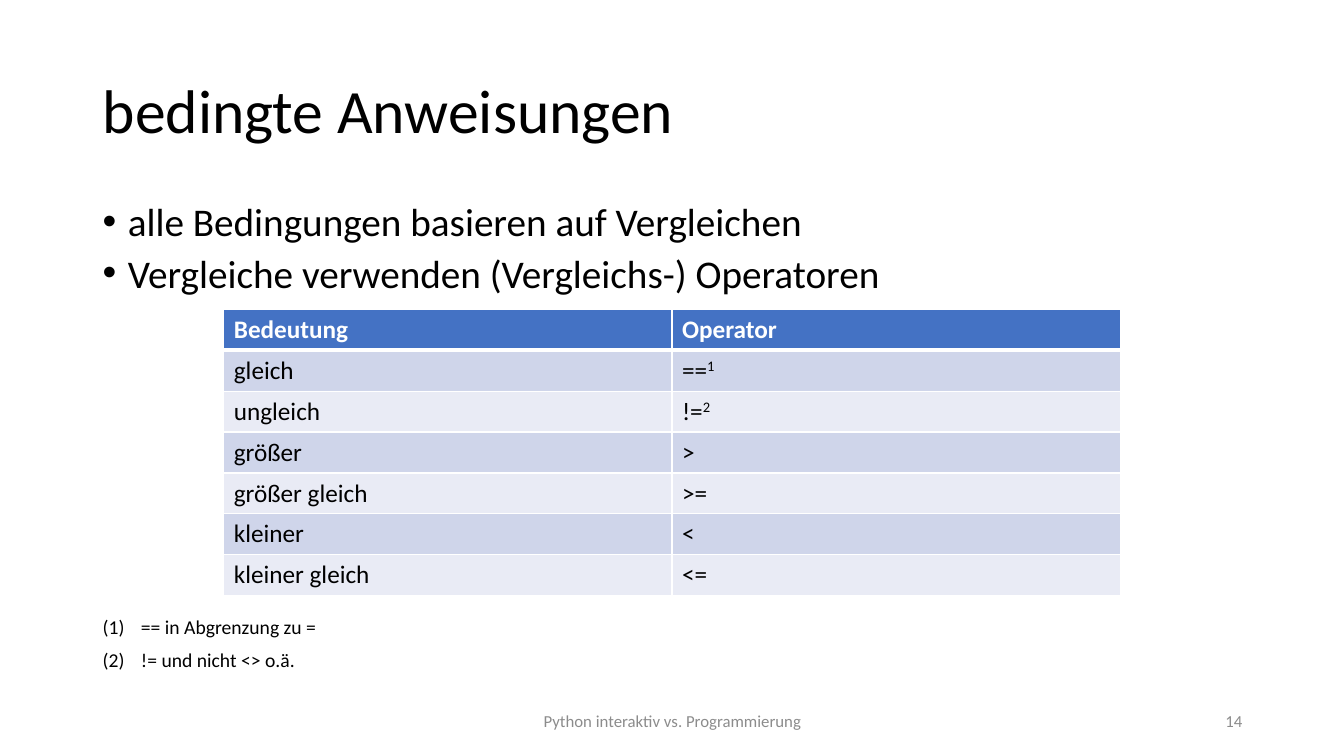
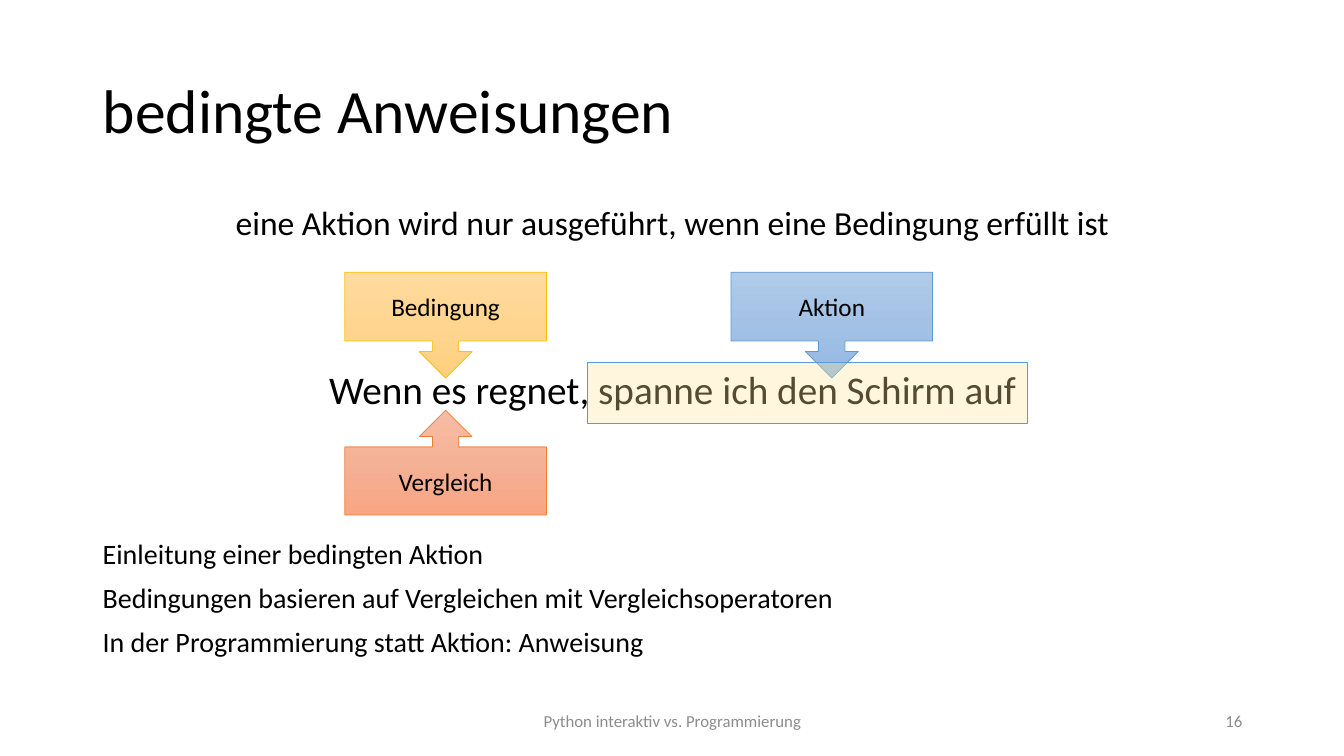
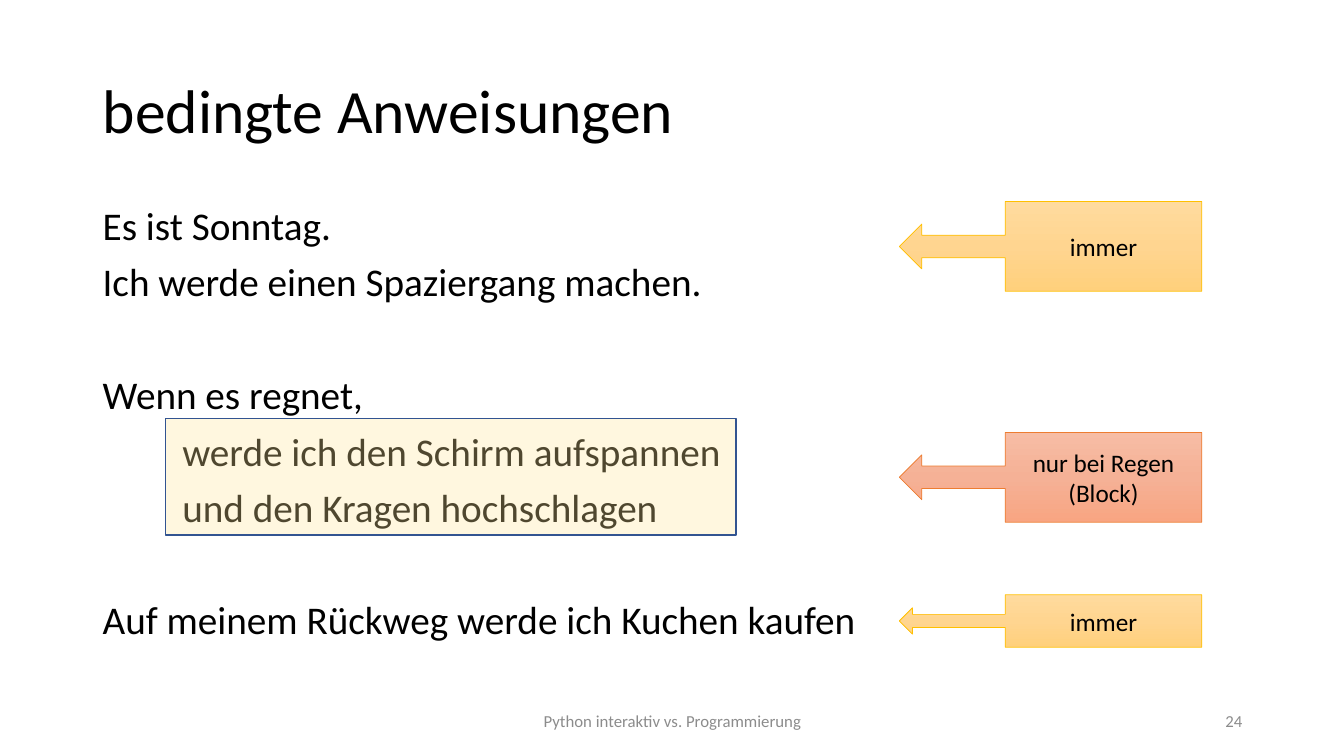
from copy import deepcopy

from lxml import etree
from pptx import Presentation
from pptx.dml.color import RGBColor
from pptx.enum.shapes import MSO_SHAPE
from pptx.enum.text import MSO_ANCHOR, MSO_AUTO_SIZE, PP_ALIGN
from pptx.oxml.ns import qn
from pptx.util import Inches, Pt

LEFT, CENTER, RIGHT = PP_ALIGN.LEFT, PP_ALIGN.CENTER, PP_ALIGN.RIGHT
TOP, MIDDLE = MSO_ANCHOR.TOP, MSO_ANCHOR.MIDDLE
RECT = MSO_SHAPE.RECTANGLE
DOWN = MSO_SHAPE.DOWN_ARROW_CALLOUT
UP = MSO_SHAPE.UP_ARROW_CALLOUT
BACK = MSO_SHAPE.LEFT_ARROW_CALLOUT

FONT = "Calibri"
TITLE = "bedingte Anweisungen"
FOOTER = "Python interaktiv vs. Programmierung"
MARGIN, WIDTH = 0.92, 11.5
COLORS = {
    "text": "000000", "white": "FFFFFF", "muted": "8C8C8C",
    "head": "4472C4", "odd": "CFD5EA", "even": "E9EBF5",
    "mark": "FFE699", "blue": "5B9BD5", "navy": "325491",
}
TONES = {
    "gold": ("FFC000", ("FFDB9E", "FFD590", "FFD07C")),
    "blue": ("5B9BD5", ("B1CBE9", "A3C1E5", "93B9E4")),
    "coral": ("ED7D31", ("F7BDA5", "F5B196", "F8A582")),
}
BULLET = {"indent": 0.25, "hang": 0.25, "bullet": ("buChar", {"char": "•"})}
NUMBER = {"indent": 0.38, "hang": 0.38,
          "bullet": ("buAutoNum", {"type": "arabicParenBoth"})}

# Cells are (text, superscript)
TABLE = [
    [("Bedeutung", ""), ("Operator", "")],
    [("gleich", ""), ("==", "1")],
    [("ungleich", ""), ("!=", "2")],
    [("größer", ""), (">", "")],
    [("größer gleich", ""), (">=", "")],
    [("kleiner", ""), ("<", "")],
    [("kleiner gleich", ""), ("<=", "")],
]

# Text blocks are (top, height, lines, format)
SLIDES = [
    {
        "number": 14,
        "texts": [
            (2, 1.05, ["alle Bedingungen basieren auf Vergleichen",
                       "Vergleiche verwenden (Vergleichs-) Operatoren"],
             {"size": 28, "spacing": 0.8, **BULLET}),
            (6.1, 0.65, ["== in Abgrenzung zu =", "!= und nicht <> o.ä."],
             {"size": 14, "spacing": 0.8, **NUMBER}),
        ],
        "table": (2.22, 3.07, 8.89, 2.84),
    },
    {
        "number": 16,
        "texts": [
            (2, 0.5, ["eine Aktion wird nur ausgeführt, wenn eine Bedingung erfüllt ist"],
             {"size": 24, "align": CENTER}),
            (3.63, 0.55, ["Wenn es regnet, spanne ich den Schirm auf"],
             {"size": 28, "align": CENTER}),
            (5.31, 1.4, ["Einleitung einer bedingten Aktion",
                         "Bedingungen basieren auf Vergleichen mit Vergleichsoperatoren",
                         "In der Programmierung statt Aktion: Anweisung"],
             {"size": 20}),
        ],
        "callouts": [
            (DOWN, (7.25, 2.7, 2, 1.05), "blue", ["Aktion"]),
            (DOWN, (3.42, 2.7, 2, 1.05), "gold", ["Bedingung"]),
            (UP, (3.42, 4.07, 2, 1.04), "coral", ["Vergleich"]),
        ],
        "mark": ((5.83, 3.59, 4.36, 0.61), 33, "blue", 0.5),
    },
    {
        "number": 24,
        "texts": [
            (2, 1.1, ["Es ist Sonntag.", "Ich werde einen Spaziergang machen."],
             {"size": 28}),
            (3.68, 0.55, ["Wenn es regnet,"], {"size": 28}),
            (4.24, 1.1, ["werde ich den Schirm aufspannen",
                         "und den Kragen hochschlagen"],
             {"size": 28, "indent": 0.79}),
            (5.91, 0.55, ["Auf meinem Rückweg werde ich Kuchen kaufen"], {"size": 28}),
        ],
        "callouts": [
            (BACK, (8.92, 2, 3, 0.89), "gold", ["immer"]),
            (BACK, (8.92, 4.29, 3, 0.89), "coral", ["nur bei Regen", "(Block)"]),
            (BACK, (8.92, 5.9, 3, 0.52), "gold", ["immer"]),
        ],
        "mark": ((1.64, 4.15, 5.66, 1.16), 31, "navy", 1),
    },
]


def rgb(value):
    return RGBColor.from_string(value)


def box(at):
    return [Inches(length) for length in at]


def style(run, size, color="text", bold=False):
    for name, value in {"name": FONT, "size": Pt(size), "bold": bold}.items():
        setattr(run.font, name, value)
    run.font.color.rgb = rgb(COLORS[color])


def write(shape, lines, size, color="text", align=LEFT, anchor=TOP,
          spacing=1, before=0, indent=0, hang=0, bullet=None):
    frame = shape.text_frame
    form = {"word_wrap": True, "auto_size": MSO_AUTO_SIZE.NONE, "vertical_anchor": anchor}
    for name, value in form.items():
        setattr(frame, name, value)
    for i, line in enumerate(lines):
        par = frame.add_paragraph() if i else frame.paragraphs[0]
        form = {"alignment": align, "line_spacing": spacing, "space_before": Pt(before)}
        for name, value in form.items():
            setattr(par, name, value)
        run = par.add_run()
        run.text = line
        style(run, size, color)
        props = par._p.get_or_add_pPr()
        props.set("marL", str(Inches(indent)))
        props.set("indent", str(-Inches(hang)))
        if bullet:
            tag, values = bullet
            etree.SubElement(props, qn("a:buFont"), typeface="Arial")
            etree.SubElement(props, qn("a:" + tag), **values)


def add_text(slide, at, lines, **form):
    write(slide.shapes.add_textbox(*box(at)), lines, **form)


def add_frame(slide, number):
    """Fill the title and add the footer and page number."""
    title = slide.shapes.title
    title.left, title.top, title.width, title.height = box((MARGIN, 0.4, WIDTH, 1.45))
    write(title, [TITLE], 44, anchor=MIDDLE, spacing=0.9)
    foot = {"size": 12, "color": "muted", "anchor": MIDDLE}
    add_text(slide, (4.42, 6.95, 4.5, 0.4), [FOOTER], align=CENTER, **foot)
    add_text(slide, (9.42, 6.95, 3, 0.4), [str(number)], align=RIGHT, **foot)


def add_shape(slide, kind, at, line, weight):
    shape = slide.shapes.add_shape(kind, *box(at))
    shape.shadow.inherit = False
    shape.line.color.rgb = rgb(line)
    shape.line.width = Pt(weight)
    return shape


def add_callout(slide, kind, at, tone, lines):
    line, shades = TONES[tone]
    shape = add_shape(slide, kind, at, line, 0.5)
    shape.fill.gradient()
    shape.fill.gradient_angle = 270
    stops = shape._element.spPr.find(qn("a:gradFill")).find(qn("a:gsLst"))
    stops.insert(1, deepcopy(stops[0]))
    for i, (stop, shade) in enumerate(zip(shape.fill.gradient_stops, shades)):
        stop.position = i / 2
        stop.color.rgb = rgb(shade)
    write(shape, lines, 18, align=CENTER, anchor=MIDDLE)


def add_mark(slide, at, alpha, line, weight):
    """Add a see-through highlight; alpha is in percent."""
    shape = add_shape(slide, RECT, at, COLORS[line], weight)
    shape.fill.solid()
    shape.fill.fore_color.rgb = rgb(COLORS["mark"])
    color = shape._element.spPr.find(qn("a:solidFill"))[0]
    etree.SubElement(color, qn("a:alpha"), val=str(alpha * 1000))


def add_border(cell, side, weight):
    line = etree.SubElement(cell._tc.get_or_add_tcPr(), qn("a:ln" + side),
                            w=str(Pt(weight)))
    fill = etree.SubElement(line, qn("a:solidFill"))
    etree.SubElement(fill, qn("a:srgbClr"), val=COLORS["white"])


def add_table(slide, at):
    table = slide.shapes.add_table(len(TABLE), len(TABLE[0]), *box(at)).table
    for r, row in enumerate(TABLE):
        head = r == 0
        shade = "head" if head else "odd" if r % 2 else "even"
        for c, (text, note) in enumerate(row):
            cell = table.cell(r, c)
            for side in "LRTB":
                thick = (side == "B" and head) or (side == "T" and r == 1)
                add_border(cell, side, 3 if thick else 1)
            cell.fill.solid()
            cell.fill.fore_color.rgb = rgb(COLORS[shade])
            for part in filter(None, (text, note)):
                run = cell.text_frame.paragraphs[0].add_run()
                run.text = part
                style(run, 18, "white" if head else "text", head)
            if note:
                run.font._element.set("baseline", "30000")


def main():
    deck = Presentation()
    deck.slide_width, deck.slide_height = Inches(13.33), Inches(7.5)
    for page in SLIDES:
        slide = deck.slides.add_slide(deck.slide_layouts[5])
        add_frame(slide, page["number"])
        for top, height, lines, form in page["texts"]:
            add_text(slide, (MARGIN, top, WIDTH, height), lines,
                     **{"spacing": 0.9, "before": 10, **form})
        if "table" in page:
            add_table(slide, page["table"])
        for callout in page.get("callouts", []):
            add_callout(slide, *callout)
        if "mark" in page:
            add_mark(slide, *page["mark"])
    deck.save("out.pptx")


if __name__ == "__main__":
    main()
